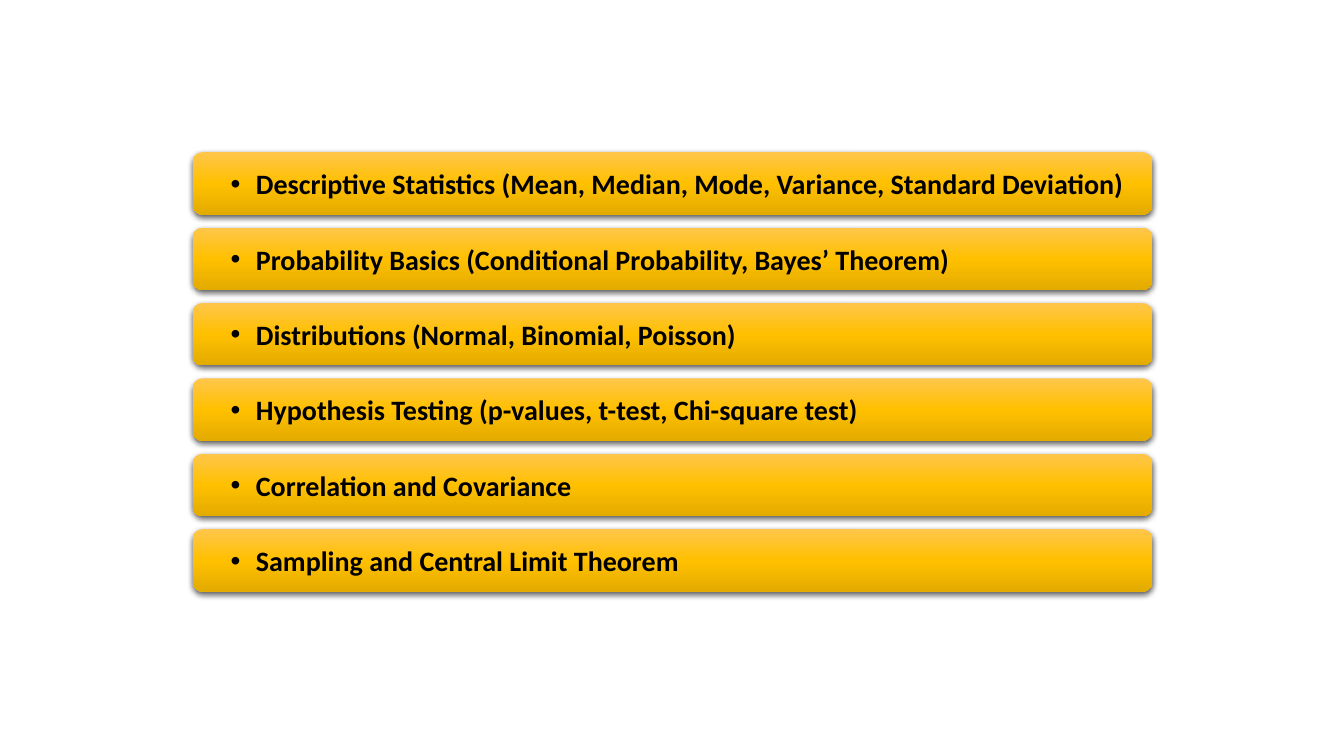
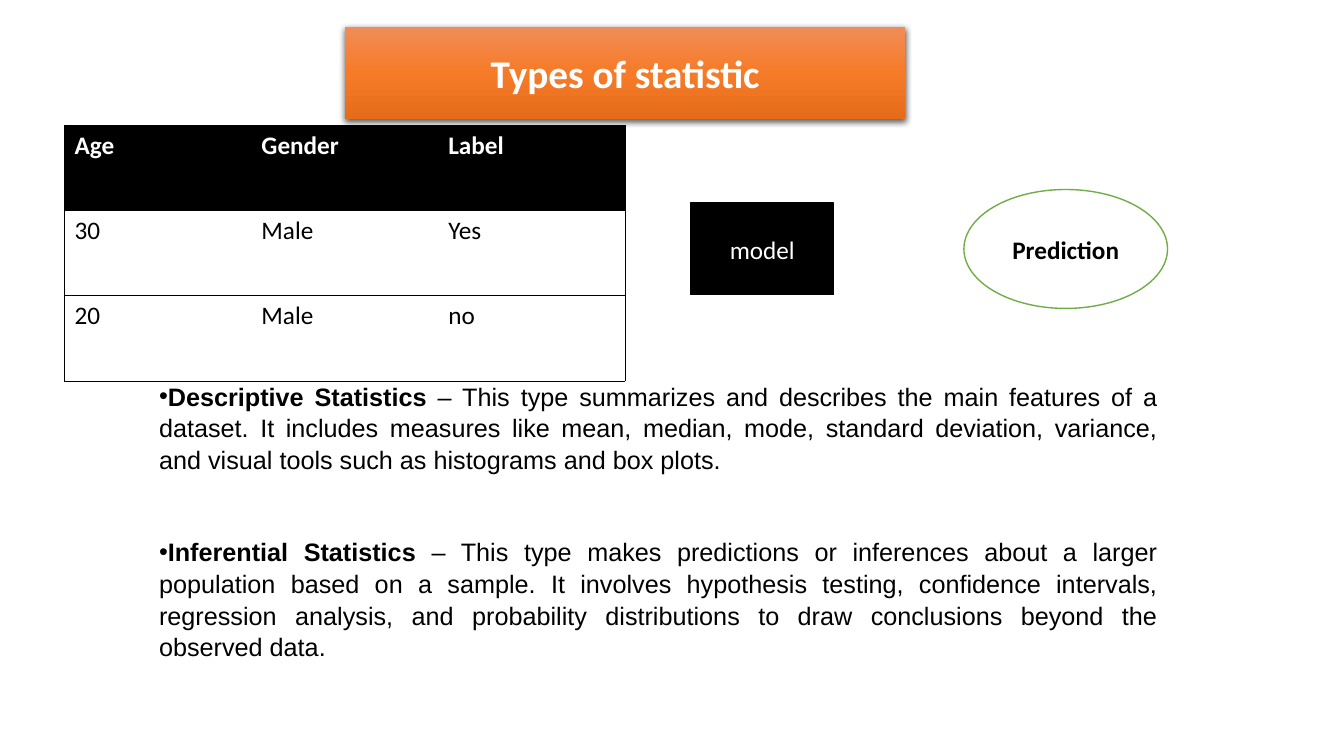
from collections import namedtuple
from dataclasses import dataclass

from lxml import etree
from pptx import Presentation
from pptx import util as u
from pptx.dml.color import RGBColor
from pptx.enum import shapes, text
from pptx.oxml import ns

PX = 9144  # EMU: 100 px to the inch
Box = namedtuple("Box", "left top width height")


@dataclass(frozen=True)
class Theme:
    heading_font: str = "Calibri"
    body_font: str = "Arial"
    black: str = "000000"
    white: str = "FFFFFF"
    green: str = "70AD47"
    gold: tuple = ("FFC64B", "FFC000", "E3AB00")
    orange: tuple = ("F18C57", "F67B28", "E56C19")
    title_size: int = 28
    topic_size: int = 20
    body_size: int = 18
    outline: float = 1
    table_border: float = 0.5


THEME = Theme()
PLAIN_TABLE_STYLE = "{2D5ABB26-0587-4C30-8999-92F81FD0307C}"

TOPICS = [
    "Descriptive Statistics (Mean, Median, Mode, Variance, Standard Deviation)",
    "Probability Basics (Conditional Probability, Bayes’ Theorem)",
    "Distributions (Normal, Binomial, Poisson)",
    "Hypothesis Testing (p-values, t-test, Chi-square test)",
    "Correlation and Covariance",
    "Sampling and Central Limit Theorem",
]
PEOPLE = [
    ("Age", "Gender", "Label"),
    ("30", "Male", "Yes"),
    ("20", "Male", "no"),
]
DEFINITIONS = [
    ("Descriptive Statistics",
     " – This type summarizes and describes the main features of a dataset. It includes "
     "measures like mean, median, mode, standard deviation, variance, and visual tools "
     "such as histograms and box plots."),
    ("Inferential Statistics",
     " – This type makes predictions or inferences about a larger population based on a "
     "sample. It involves hypothesis testing, confidence intervals, regression analysis, "
     "and probability distributions to draw conclusions beyond the observed data."),
]


def emu(box):
    return [round(length * PX) for length in box]


def child(parent, tag, **attributes):
    element = etree.SubElement(parent, ns.qn(tag))
    for name, value in attributes.items():
        element.set(name, str(value))
    return element


def set_font(para, size, color, bold=None, name=THEME.heading_font):
    font = para.font
    font.name, font.size, font.bold = name, u.Pt(size), bold
    font.color.rgb = RGBColor.from_string(color)


def add_bullet(para, margin=0, indent=0):
    """Call before set_font, so that the bullet precedes the font in the XML."""
    properties = para._p.get_or_add_pPr()
    properties.set("marL", str(margin * PX))
    properties.set("indent", str(indent * PX))
    child(properties, "a:buFont", typeface=THEME.body_font)
    child(properties, "a:buChar", char="•")


def add_figure(page, kind, box, label, align=text.PP_ALIGN.CENTER):
    figure = page.shapes.add_shape(kind, *emu(box))
    figure.shadow.inherit = False
    para = figure.text_frame.paragraphs[0]
    para.text, para.alignment = label, align
    return figure, para


def make_glossy(figure, colors):
    """Fill from top to bottom with three colours and cast a soft shadow."""
    figure.line.fill.background()
    figure.fill.gradient()
    figure.fill.gradient_angle = 270
    properties = figure._element.spPr
    stops = properties.find(".//" + ns.qn("a:gsLst"))
    stops.clear()
    for position, color in zip((0, 50000, 100000), colors):
        child(child(stops, "a:gs", pos=position), "a:srgbClr", val=color)
    shadow = child(properties.find(ns.qn("a:effectLst")), "a:outerShdw",
                   blurRad=u.Pt(4.5), dist=u.Pt(1.5), dir=5400000,
                   algn="ctr", rotWithShape=0)
    child(child(shadow, "a:srgbClr", val=THEME.black), "a:alpha", val=63000)


def make_flat(figure, fill, line):
    figure.fill.solid()
    figure.fill.fore_color.rgb = RGBColor.from_string(fill)
    figure.line.color.rgb = RGBColor.from_string(line)
    figure.line.width = u.Pt(THEME.outline)


def add_topic_bars(page, box, topics, bar_height=62):
    pitch = (box.height - bar_height) / (len(topics) - 1)
    for index, topic in enumerate(topics):
        bar_box = Box(box.left, box.top + index * pitch, box.width, bar_height)
        bar, para = add_figure(page, shapes.MSO_SHAPE.ROUNDED_RECTANGLE, bar_box,
                               topic, text.PP_ALIGN.LEFT)
        make_glossy(bar, THEME.gold)
        add_bullet(para, margin=50, indent=-25)
        set_font(para, THEME.topic_size, THEME.black, True)


def add_title_band(page, box, title):
    band, para = add_figure(page, shapes.MSO_SHAPE.RECTANGLE, box, title)
    make_glossy(band, THEME.orange)
    set_font(para, THEME.title_size, THEME.white, True)


def add_definitions(page, box, definitions):
    frame = page.shapes.add_textbox(*emu(box)).text_frame
    frame.word_wrap = True
    frame.vertical_anchor = text.MSO_ANCHOR.MIDDLE
    for index, (term, meaning) in enumerate(definitions):
        para = frame.add_paragraph() if index else frame.paragraphs[0]
        para.alignment = text.PP_ALIGN.JUSTIFY
        para.line_spacing = 1.05
        para.space_before = u.Pt(43 if index else 0)
        add_bullet(para)
        set_font(para, THEME.body_size, THEME.black, name=THEME.body_font)
        for words, bold in ((term, True), (meaning, False)):
            span = para.add_run()
            span.text, span.font.bold = words, bold


def set_borders(cell, sides):
    properties = cell._tc.get_or_add_tcPr()
    for index, side in enumerate(side for side in "LRTB" if side in sides):
        line = etree.Element(ns.qn("a:ln" + side), w=str(u.Pt(THEME.table_border)))
        child(child(line, "a:solidFill"), "a:srgbClr", val=THEME.black)
        properties.insert(index, line)


def add_people_table(page, box, rows):
    last = len(rows[0]) - 1
    table = page.shapes.add_table(len(rows), last + 1, *emu(box)).table
    table.first_row = table.horz_banding = False
    table._tbl.tblPr.find(ns.qn("a:tableStyleId")).text = PLAIN_TABLE_STYLE
    for row_index, row in enumerate(rows):
        header = row_index == 0
        for column_index, value in enumerate(row):
            cell = table.cell(row_index, column_index)
            if header:
                cell.fill.solid()
                cell.fill.fore_color.rgb = RGBColor.from_string(THEME.black)
            else:
                cell.fill.background()
            left = "L" if column_index == 0 else ""
            right = "R" if column_index == last else ""
            set_borders(cell, "TB" + left + right)
            cell.text = value
            set_font(cell.text_frame.paragraphs[0], THEME.body_size,
                     THEME.white if header else THEME.black, header)


def add_model_flow(page, box):
    """Place the model at the left and the prediction at the right, on one axis."""
    width, height = 142, 91
    model_box = Box(box.left, box.top + (box.height - height) / 2, width, height)
    model, para = add_figure(page, shapes.MSO_SHAPE.RECTANGLE, model_box, "model")
    make_flat(model, THEME.black, THEME.black)
    set_font(para, THEME.body_size, THEME.white)

    width = 202
    oval_box = Box(box.left + box.width - width, box.top, width, box.height)
    oval, para = add_figure(page, shapes.MSO_SHAPE.OVAL, oval_box, "Prediction")
    make_flat(oval, THEME.white, THEME.green)
    set_font(para, THEME.body_size, THEME.black, True)


def add_topics_slide(page):
    add_topic_bars(page, Box(191, 151, 952, 436), TOPICS)


def add_types_slide(page):
    add_title_band(page, Box(342, 27, 556, 91), "Types of statistic")
    add_definitions(page, Box(148, 375, 1010, 283), DEFINITIONS)
    add_people_table(page, Box(64, 124, 556, 254), PEOPLE)
    add_model_flow(page, Box(685, 188, 473, 118))


def main():
    deck = Presentation()
    deck.slide_width, deck.slide_height = u.Inches(13.33), u.Inches(7.5)
    blank = deck.slide_layouts[6]
    for build in (add_topics_slide, add_types_slide):
        build(deck.slides.add_slide(blank))
    deck.save("out.pptx")


if __name__ == "__main__":
    main()
